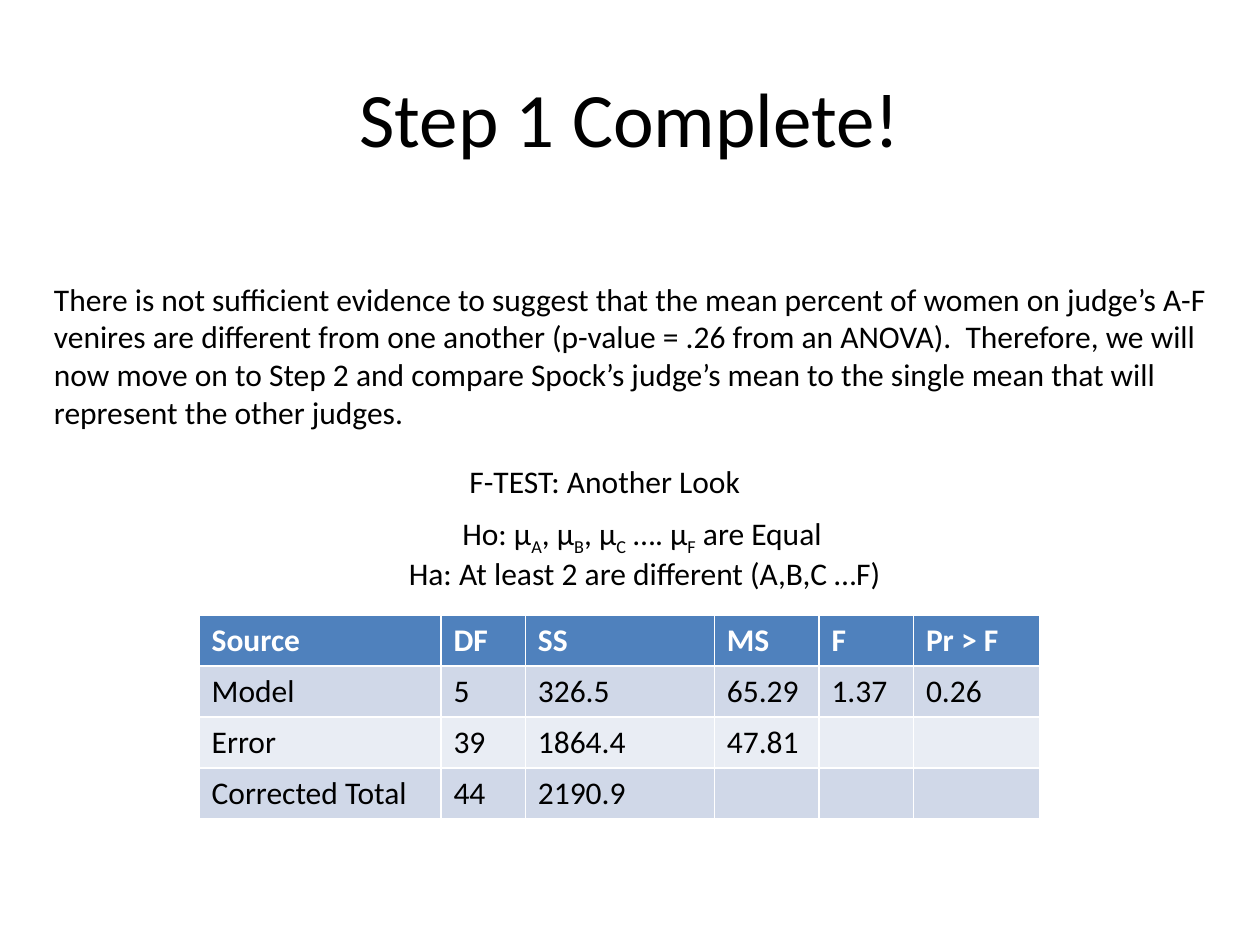
from pptx import Presentation
from pptx.dml.color import RGBColor
from pptx.enum.text import MSO_ANCHOR, PP_ALIGN
from pptx.util import Inches, Pt

LEFT, CENTER = PP_ALIGN.LEFT, PP_ALIGN.CENTER
TOP, MIDDLE = MSO_ANCHOR.TOP, MSO_ANCHOR.MIDDLE
FONT = "Calibri"
BLACK, WHITE = "000000", "FFFFFF"
HEADER_FILL = "4F81BD"
BAND_FILLS = ("E9EDF4", "D0D8E8")

CONCLUSION = (
    "There is not sufficient evidence to suggest that the mean percent of women "
    "on judge’s A-F venires are different from one another (p-value = .26 from "
    "an ANOVA).  Therefore, we will now move on to Step 2 and compare Spock’s "
    "judge’s mean to the single mean that will represent the other judges."
)
# Every second run is a subscript.
NULL_HYPOTHESIS = ("Ho: µ", "A", ", µ", "B", ", µ", "C", " …. µ", "F", " are Equal")

COLUMN_WIDTHS = (1.92, 0.67, 1.5, 0.83, 0.75, 1)
ROW_HEIGHT = 0.405
ANOVA_ROWS = (
    ("Source", "DF", "SS", "MS", "F", "Pr > F"),
    ("Model", "5", "326.5", "65.29", "1.37", "0.26"),
    ("Error", "39", "1864.4", "47.81", "", ""),
    ("Corrected Total", "44", "2190.9", "", "", ""),
)


def rgb(value):
    return RGBColor.from_string(value)


def add_run(p, text, size=18, color=BLACK, bold=False, subscript=False):
    r = p.add_run()
    r.text = text
    r.font.name = FONT
    r.font.size = Pt(size)
    r.font.bold = bold
    r.font.color.rgb = rgb(color)
    if subscript:
        r.font._element.set("baseline", "-25000")


def add_text(slide, box, runs, size=18, align=CENTER, anchor=TOP, wrap=True):
    """Add a one-paragraph text box; every second run is a subscript."""
    tf = slide.shapes.add_textbox(*map(Inches, box)).text_frame
    tf.word_wrap = wrap
    tf.vertical_anchor = anchor
    p = tf.paragraphs[0]
    p.alignment = align
    for i, text in enumerate(runs):
        add_run(p, text, size, subscript=i % 2 == 1)


def add_anova_table(slide, left, top):
    """Add the table; its default style supplies the white cell borders."""
    frame = slide.shapes.add_table(
        len(ANOVA_ROWS), len(COLUMN_WIDTHS), Inches(left), Inches(top),
        Inches(sum(COLUMN_WIDTHS)), Inches(ROW_HEIGHT * len(ANOVA_ROWS)))
    table = frame.table
    for column, width in zip(table.columns, COLUMN_WIDTHS):
        column.width = Inches(width)
    for i, values in enumerate(ANOVA_ROWS):
        header = i == 0
        for j, value in enumerate(values):
            cell = table.cell(i, j)
            cell.fill.solid()
            cell.fill.fore_color.rgb = rgb(HEADER_FILL if header else BAND_FILLS[i % 2])
            p = cell.text_frame.paragraphs[0]
            p.font.size = Pt(18)
            if value:
                add_run(p, value, color=WHITE if header else BLACK, bold=header)


def main():
    prs = Presentation()
    prs.slide_width, prs.slide_height = Inches(10), Inches(7.5)
    slide = prs.slides.add_slide(prs.slide_layouts[6])
    add_text(slide, (0.5, 0.3, 9, 1.25), ["Step 1 Complete!"], size=44, anchor=MIDDLE)
    add_text(slide, (3.58, 3.62, 2.44, 0.4), ["F-TEST: Another Look"])
    add_text(slide, (3.12, 4.35, 4.05, 0.4),
             ["Ha: At least 2 are different (A,B,C …F) "], wrap=False)
    add_text(slide, (2.5, 4.03, 5.19, 0.4), NULL_HYPOTHESIS)
    add_anova_table(slide, 1.58, 4.88)
    add_text(slide, (0.33, 2.17, 9.42, 1.31), [CONCLUSION], align=LEFT)
    prs.save("out.pptx")


if __name__ == "__main__":
    main()
